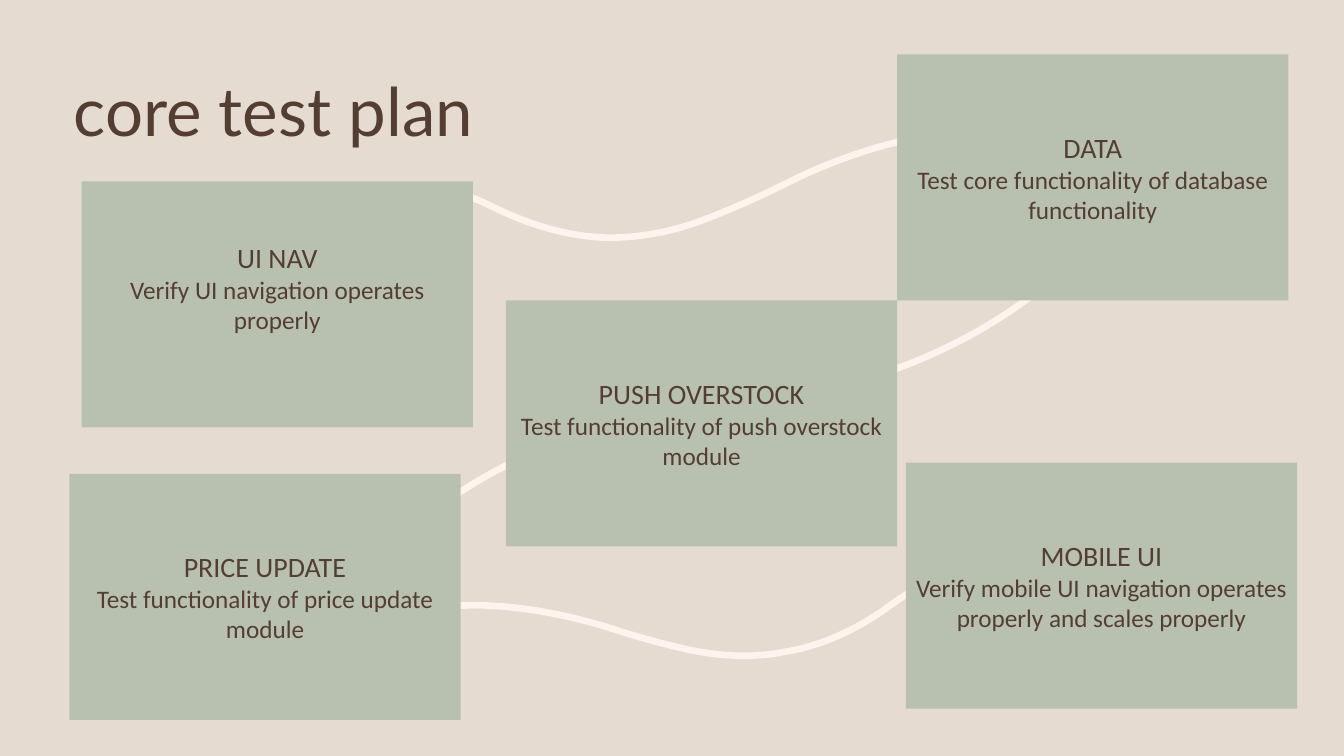
"""Build the core test plan slide: five test cards over flowing curves."""
from dataclasses import dataclass

from pptx import Presentation
from pptx.dml.color import RGBColor
from pptx.enum import shapes, text
from pptx.util import Cm, Pt

TITLE = "core test plan"
CARDS = [
    ("UI NAV", "Verify UI navigation operates properly", 2.06, 4.57, 0.86),
    ("DATA", "Test core functionality of database functionality", 22.61, 1.37, 0),
    ("PUSH OVERSTOCK", "Test functionality of push overstock module", 12.75, 7.57, 0),
    ("PRICE UPDATE", "Test functionality of price update module", 1.75, 11.94, 0),
    ("MOBILE UI", "Verify mobile UI navigation operates properly and scales properly",
     22.83, 11.66, 0),
]
CURVES = [
    [(21.16, 9.73), (23.19, 9.22), (25.02, 8.31), (26.59, 6.99)],
    [(14.83, 10.87), (12.93, 11.48), (11.3, 12.45), (9.88, 13.69)],
    [(7.8, 5.66), (8.89, 4.75), (10.11, 4.5), (11.4, 4.83),
     (11.84, 4.93), (12.22, 5.11), (12.62, 5.31),
     (13.46, 5.69), (14.35, 5.97), (15.34, 5.99),
     (16.18, 5.99), (17.02, 5.82), (17.81, 5.51),
     (18.72, 5.16), (19.23, 4.9), (19.76, 4.65),
     (20.35, 4.34), (23.88, 2.62), (26.09, 3.71)],
    [(23.37, 14.71), (22.96, 14.88), (22.63, 15.11), (22.28, 15.37),
     (21.54, 15.88), (20.7, 16.28), (19.76, 16.43),
     (18.95, 16.59), (18.14, 16.54), (17.3, 16.36),
     (16.38, 16.15), (15.85, 15.98), (15.29, 15.8),
     (14.68, 15.62), (11.02, 14.48), (8.81, 16.15)],
]
CARD_WIDTH, CARD_HEIGHT, INSET = 9.86, 6.2, 0.2
STEPS = 16


@dataclass(frozen=True)
class Theme:
    """Colours, fonts and sizes of the slide."""
    background: RGBColor = RGBColor.from_string("E6DBD0")
    card: RGBColor = RGBColor.from_string("B8C0B0")
    curve: RGBColor = RGBColor.from_string("FEF3ED")
    ink: RGBColor = RGBColor.from_string("543E34")
    title_font: str = "Lato"
    card_font: str = "Calibri"
    title_size: int = 48
    heading_size: int = 20
    detail_size: int = 18
    curve_width: float = 4.75


THEME = Theme()


def add_span(para, words, font, size):
    """Add one formatted run to a paragraph."""
    span = para.add_run()
    span.text = words
    span.font.name = font
    span.font.size = Pt(size)
    span.font.color.rgb = THEME.ink


def bezier(start, first, second, end, t):
    """Return the point at t on a cubic curve, as lengths."""
    s = 1 - t
    return tuple(
        Cm(s**3 * a + 3 * s * s * t * b + 3 * s * t * t * c + t**3 * d)
        for a, b, c, d in zip(start, first, second, end)
    )


def add_curve(page, knots):
    """Draw a chain of cubic curves as one open line."""
    points = [
        bezier(*knots[i:i + 4], step / STEPS)
        for i in range(0, len(knots) - 1, 3)
        for step in range(1, STEPS + 1)
    ]
    start_x, start_y = knots[0]
    builder = page.shapes.build_freeform(Cm(start_x), Cm(start_y))
    builder.add_line_segments(points, close=False)
    curve = builder.convert_to_shape()
    curve.shadow.inherit = False
    curve.fill.background()
    curve.line.color.rgb = THEME.curve
    curve.line.width = Pt(THEME.curve_width)


def add_title(page):
    """Place and format the slide title."""
    box = page.shapes.title
    box.left, box.top, box.width, box.height = Cm(1.6), Cm(1.96), Cm(25.4), Cm(1.88)
    frame = box.text_frame
    frame.auto_size = text.MSO_AUTO_SIZE.NONE
    frame.vertical_anchor = text.MSO_ANCHOR.MIDDLE
    para = frame.paragraphs[0]
    para.alignment = text.PP_ALIGN.LEFT
    para.line_spacing = 0.9
    add_span(para, TITLE, THEME.title_font, THEME.title_size)


def add_card(page, heading, detail, left, top, lift):
    """Draw one test card with its heading and detail."""
    box = page.shapes.add_shape(
        shapes.MSO_SHAPE.RECTANGLE, Cm(left), Cm(top), Cm(CARD_WIDTH), Cm(CARD_HEIGHT))
    box.shadow.inherit = False
    box.fill.solid()
    box.fill.fore_color.rgb = THEME.card
    box.line.fill.background()
    frame = box.text_frame
    frame.word_wrap = True
    frame.vertical_anchor = text.MSO_ANCHOR.MIDDLE
    frame.margin_left = frame.margin_right = Cm(INSET)
    frame.margin_top, frame.margin_bottom = Cm(INSET), Cm(INSET + lift)
    lines = ((frame.paragraphs[0], heading, THEME.heading_size),
             (frame.add_paragraph(), detail, THEME.detail_size))
    for para, words, size in lines:
        para.alignment = text.PP_ALIGN.CENTER
        add_span(para, words, THEME.card_font, size)


def main():
    """Build and save the deck."""
    deck = Presentation()
    deck.slide_width, deck.slide_height = Cm(33.87), Cm(19.05)
    page = deck.slides.add_slide(deck.slide_layouts.get_by_name("Title Only"))
    page.background.fill.solid()
    page.background.fill.fore_color.rgb = THEME.background
    for knots in CURVES:
        add_curve(page, knots)
    add_title(page)
    for card in CARDS:
        add_card(page, *card)
    deck.save("out.pptx")


if __name__ == "__main__":
    main()
